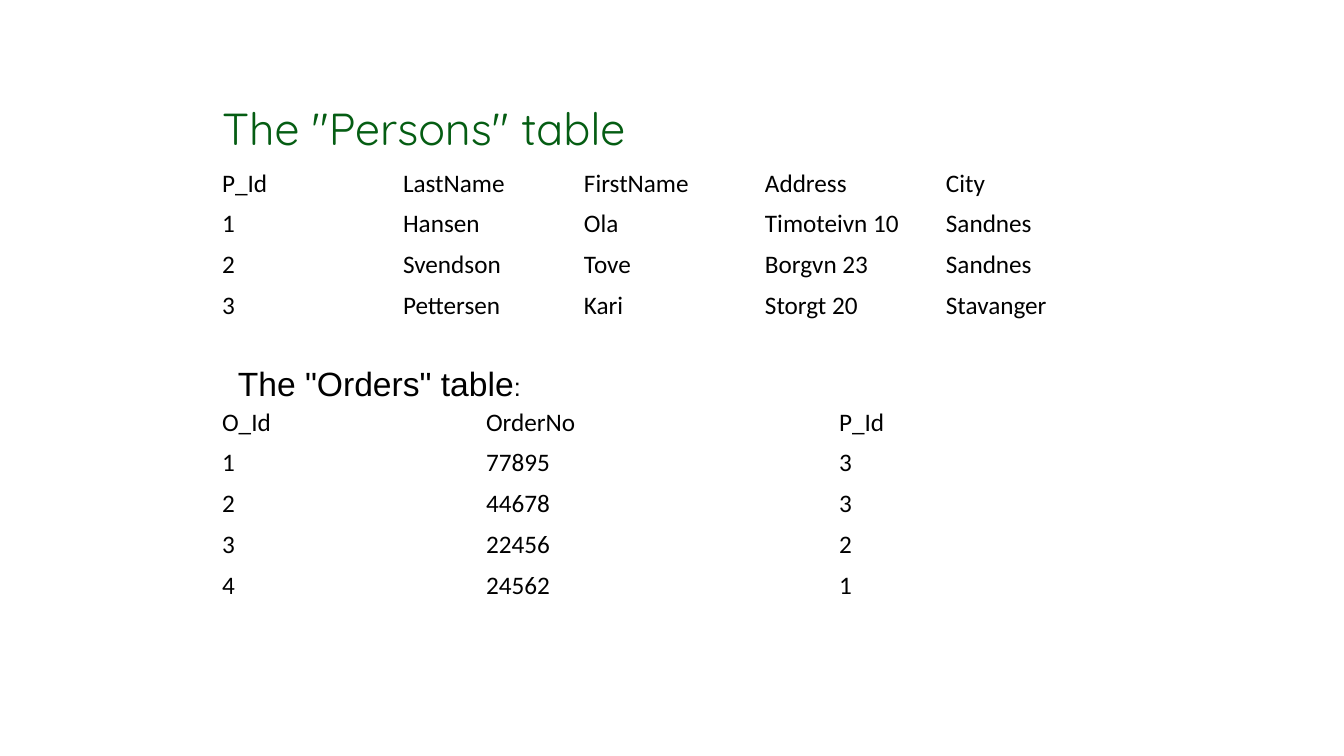
from pptx import Presentation
from pptx.dml.color import RGBColor
from pptx.enum.text import MSO_ANCHOR, MSO_AUTO_SIZE, PP_ALIGN
from pptx.util import Pt

EMU_PER_PX = 914400 / 100.8
MIDDLE = MSO_ANCHOR.MIDDLE
LEFT = PP_ALIGN.LEFT
NO_FIT = MSO_AUTO_SIZE.NONE
GROW = MSO_AUTO_SIZE.SHAPE_TO_FIT_TEXT

TITLE_ONLY = 5
MARGIN = 212
ROW_HEIGHT = 40
BLACK = "000000"
GREEN = "055D13"

PERSONS = [
    ["P_Id", "LastName", "FirstName", "Address", "City"],
    ["1", "Hansen", "Ola", "Timoteivn 10", "Sandnes"],
    ["2", "Svendson", "Tove", "Borgvn 23", "Sandnes"],
    ["3", "Pettersen", "Kari", "Storgt 20", "Stavanger"],
]
ORDERS = [
    ["O_Id", "OrderNo", "P_Id"],
    ["1", "77895", "3"],
    ["2", "44678", "3"],
    ["3", "22456", "2"],
    ["4", "24562", "1"],
]


def px(length):
    return round(length * EMU_PER_PX)


def style_run(run, font, size, color):
    run.font.name = font
    run.font.size = Pt(size)
    run.font.color.rgb = RGBColor.from_string(color)


def set_title(slide, text, left, top, width, height):
    title = slide.shapes.title
    title.left, title.top = px(left), px(top)
    title.width, title.height = px(width), px(height)
    frame = title.text_frame
    frame.text = text
    frame.auto_size = NO_FIT
    frame.vertical_anchor = MIDDLE
    paragraph = frame.paragraphs[0]
    paragraph.alignment = LEFT
    paragraph.line_spacing = 0.9
    style_run(paragraph.runs[0], "Quicksand", 32, GREEN)


def add_plain_table(slide, records, left, top, widths):
    table = slide.shapes.add_table(
        len(records), len(widths), px(left), px(top),
        px(sum(widths)), px(ROW_HEIGHT * len(records)),
    ).table
    table.first_row = False
    table.horz_banding = False
    for column, width in zip(table.columns, widths):
        column.width = px(width)
    for row, record in zip(table.rows, records):
        row.height = px(ROW_HEIGHT)
        for cell, value in zip(row.cells, record):
            cell.fill.background()
            cell.vertical_anchor = MIDDLE
            cell.text_frame.text = value
            style_run(cell.text_frame.paragraphs[0].runs[0], "Calibri", 18, BLACK)


def add_caption(slide, parts, left, top, width, height):
    caption = slide.shapes.add_textbox(px(left), px(top), px(width), px(height))
    frame = caption.text_frame
    frame.word_wrap = False
    frame.auto_size = GROW
    for text, size in parts:
        run = frame.paragraphs[0].add_run()
        run.text = text
        style_run(run, "Arial", size, BLACK)


def main():
    deck = Presentation()
    deck.slide_width, deck.slide_height = px(1344), px(756)
    slide = deck.slides.add_slide(deck.slide_layouts[TITLE_ONLY])
    set_title(slide, 'The "Persons" table', MARGIN, 92, 907, 78)
    add_plain_table(slide, PERSONS, MARGIN, 163, [181] * 5)
    add_plain_table(slide, ORDERS, MARGIN, 402, [264, 353, 264])
    add_caption(slide, [('The "Orders" table', 24), (":", 18)], 228, 358, 306, 50)
    deck.save("out.pptx")


if __name__ == "__main__":
    main()
